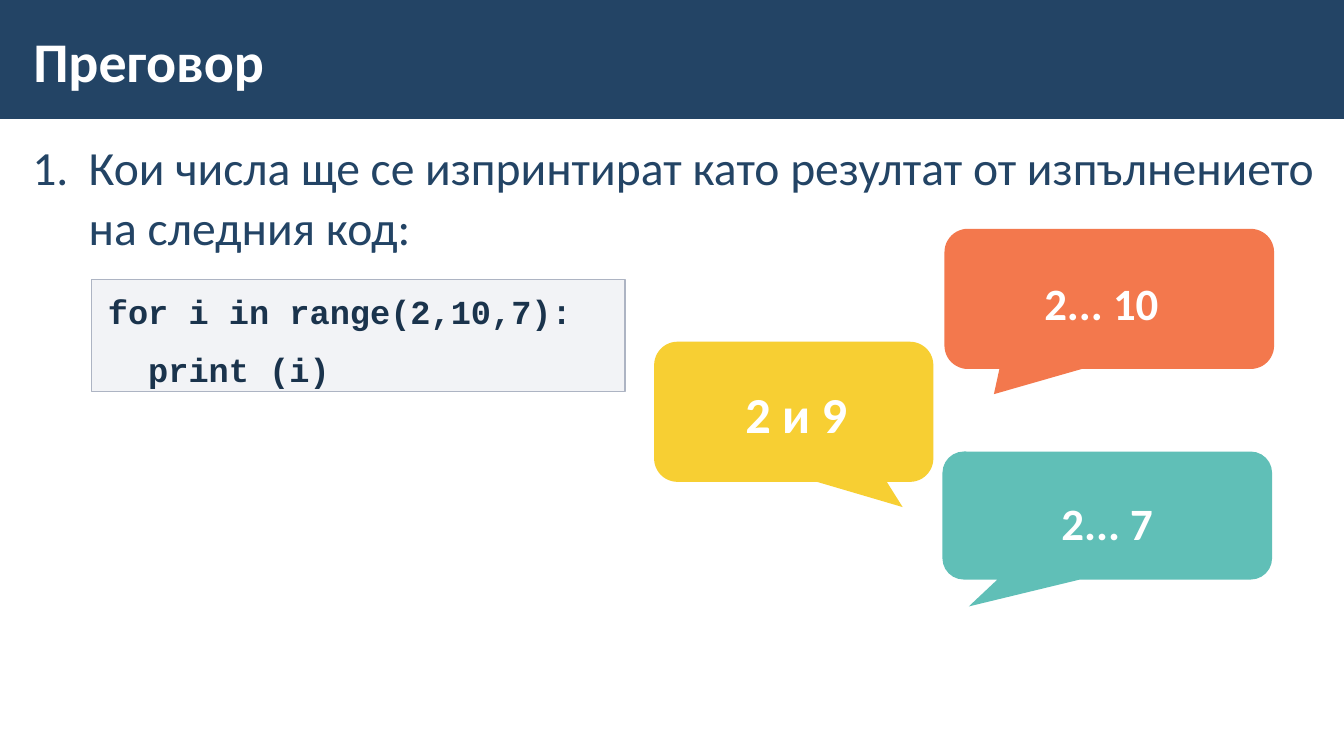
from dataclasses import dataclass

from lxml.etree import SubElement
from pptx import Presentation
from pptx.dml.color import RGBColor
from pptx.dml.fill import FillFormat
from pptx.enum.shapes import MSO_SHAPE
from pptx.enum.text import MSO_ANCHOR, MSO_AUTO_SIZE as AutoSize, PP_ALIGN
from pptx.oxml.ns import qn
from pptx.shapes.base import BaseShape
from pptx.slide import Slide
from pptx.text.text import TextFrame, _Paragraph as Paragraph
from pptx.util import Inches, Pt

COLORS = {
    "navy": "234465", "code": "1A334C", "frame": "ADB4C3", "white": "FFFFFF",
    "teal": "60BFB7", "yellow": "F5C300", "orange": "F15721",
}
SLIDE_WIDTH, SLIDE_HEIGHT = Inches(13.33), Inches(7.5)
COLUMN, ROW = SLIDE_WIDTH / 40, SLIDE_HEIGHT / 30
NARROW_INSETS = (0.12, 0.04)
WIDE_INSETS = (0.16, 0.12)


@dataclass(frozen=True)
class Box:
    """A place on the grid, in columns and rows."""
    column: float
    row: float
    columns: float
    rows: float

    def emu(self) -> tuple[int, int, int, int]:
        return (round(self.column * COLUMN), round(self.row * ROW),
                round(self.columns * COLUMN), round(self.rows * ROW))


@dataclass(frozen=True)
class TextStyle:
    size: int
    color: str
    font: str = "Calibri"
    bold: bool = True


@dataclass(frozen=True)
class Answer:
    text: str
    size: int
    color: str
    opacity: int
    bubble: Box
    tail: tuple[float, float]
    label: Box
    align: PP_ALIGN = PP_ALIGN.CENTER


ANSWERS = [
    Answer("2... 7", 32, "teal", 100, Box(28.05, 17.92, 9.81, 5.08),
           (-0.42, 0.71), Box(28.53, 18.96, 8.85, 2.52)),
    Answer("2 и 9", 36, "yellow", 80, Box(19.47, 13.56, 8.31, 5.56),
           (0.39, 0.68), Box(19.59, 14.48, 8.22, 3.48)),
    Answer("2... 10", 32, "orange", 80, Box(28.11, 9.08, 9.81, 5.56),
           (-0.35, 0.68), Box(30.6, 10.24, 6.78, 3.2), PP_ALIGN.LEFT),
]


def rgb(name: str) -> RGBColor:
    return RGBColor.from_string(COLORS[name])


def place(shape: BaseShape, box: Box) -> None:
    shape.left, shape.top, shape.width, shape.height = box.emu()


def fill_solid(fill: FillFormat, color: str, opacity: int = 100) -> None:
    fill.solid()
    fill.fore_color.rgb = rgb(color)
    if opacity < 100:
        color_element = fill._xPr.find(qn("a:solidFill"))[0]
        SubElement(color_element, qn("a:alpha"), val=str(opacity * 1000))


def write(frame: TextFrame, text: str, style: TextStyle,
          insets: tuple[float, float], auto_size: AutoSize = AutoSize.NONE) -> None:
    frame.text = text
    frame.word_wrap = True
    frame.auto_size = auto_size
    frame.margin_left = frame.margin_right = Inches(insets[0])
    frame.margin_top = frame.margin_bottom = Inches(insets[1])
    for paragraph in frame.paragraphs:
        for run in paragraph.runs:
            run.font.name = style.font
            run.font.size = Pt(style.size)
            run.font.bold = style.bold
            run.font.color.rgb = rgb(style.color)


def format_list(paragraph: Paragraph, numbered: bool) -> None:
    """Set spacing, and either a hanging number or no bullet at all."""
    paragraph.space_before = paragraph.space_after = Pt(6)
    properties = paragraph._p.get_or_add_pPr()
    hanging = Inches(0.56) if numbered else 0
    properties.set("marL", str(hanging))
    properties.set("indent", str(-hanging))
    if numbered:
        SubElement(properties, qn("a:buFont"), typeface="+mj-lt")
        SubElement(properties, qn("a:buAutoNum"), type="arabicPeriod")
    else:
        SubElement(properties, qn("a:buNone"))


def add_title_band(slide: Slide) -> None:
    band = slide.shapes.add_shape(MSO_SHAPE.RECTANGLE, *Box(0, -0.08, 40, 4.8).emu())
    band.shadow.inherit = False
    fill_solid(band.fill, "navy")
    band.line.fill.background()
    slide.shapes._spTree.insert(2, band._element)  # behind the placeholders


def fill_title(title: BaseShape) -> None:
    place(title, Box(0.63, 0.44, 31.17, 3.88))
    write(title.text_frame, "Преговор", TextStyle(40, "white"), NARROW_INSETS)
    title.text_frame.vertical_anchor = MSO_ANCHOR.MIDDLE
    title.text_frame.paragraphs[0].alignment = PP_ALIGN.LEFT


def fill_question(body: BaseShape) -> None:
    place(body, Box(0.6, 5.2, 39.4, 22.68))
    write(body.text_frame,
          "Кои числа ще се изпринтират като резултат от изпълнението на следния код:",
          TextStyle(34, "navy", bold=False), NARROW_INSETS)
    paragraph = body.text_frame.paragraphs[0]
    paragraph.line_spacing = 1.05
    format_list(paragraph, numbered=True)


def fill_code(body: BaseShape) -> None:
    place(body, Box(2.73, 11.08, 15.87, 4.84))
    fill_solid(body.fill, "frame", 15)
    body.line.color.rgb = rgb("frame")
    body.line.width = Pt(1)
    write(body.text_frame, "for i in range(2,10,7):\n  print (i)",
          TextStyle(24, "code", "Courier New"), WIDE_INSETS,
          AutoSize.SHAPE_TO_FIT_TEXT)
    for paragraph in body.text_frame.paragraphs:
        format_list(paragraph, numbered=False)


def add_answer(slide: Slide, answer: Answer) -> None:
    group = slide.shapes.add_group_shape()
    bubble = group.shapes.add_shape(MSO_SHAPE.ROUNDED_RECTANGULAR_CALLOUT,
                                    *answer.bubble.emu())
    bubble.adjustments[0], bubble.adjustments[1] = answer.tail
    bubble.shadow.inherit = False
    fill_solid(bubble.fill, answer.color, answer.opacity)
    bubble.line.fill.background()
    label = group.shapes.add_textbox(*answer.label.emu())
    write(label.text_frame, answer.text, TextStyle(answer.size, "white"),
          WIDE_INSETS, AutoSize.SHAPE_TO_FIT_TEXT)
    paragraph = label.text_frame.paragraphs[0]
    paragraph.alignment = answer.align
    paragraph.line_spacing = 1.1


def main() -> None:
    presentation = Presentation()
    presentation.slide_width, presentation.slide_height = SLIDE_WIDTH, SLIDE_HEIGHT
    two_content = presentation.slide_layouts.get_by_name("Two Content")
    slide = presentation.slides.add_slide(two_content)
    title, question, code = slide.placeholders
    add_title_band(slide)
    fill_title(title)
    fill_question(question)
    fill_code(code)
    for answer in ANSWERS:
        add_answer(slide, answer)
    presentation.save("out.pptx")


if __name__ == "__main__":
    main()
